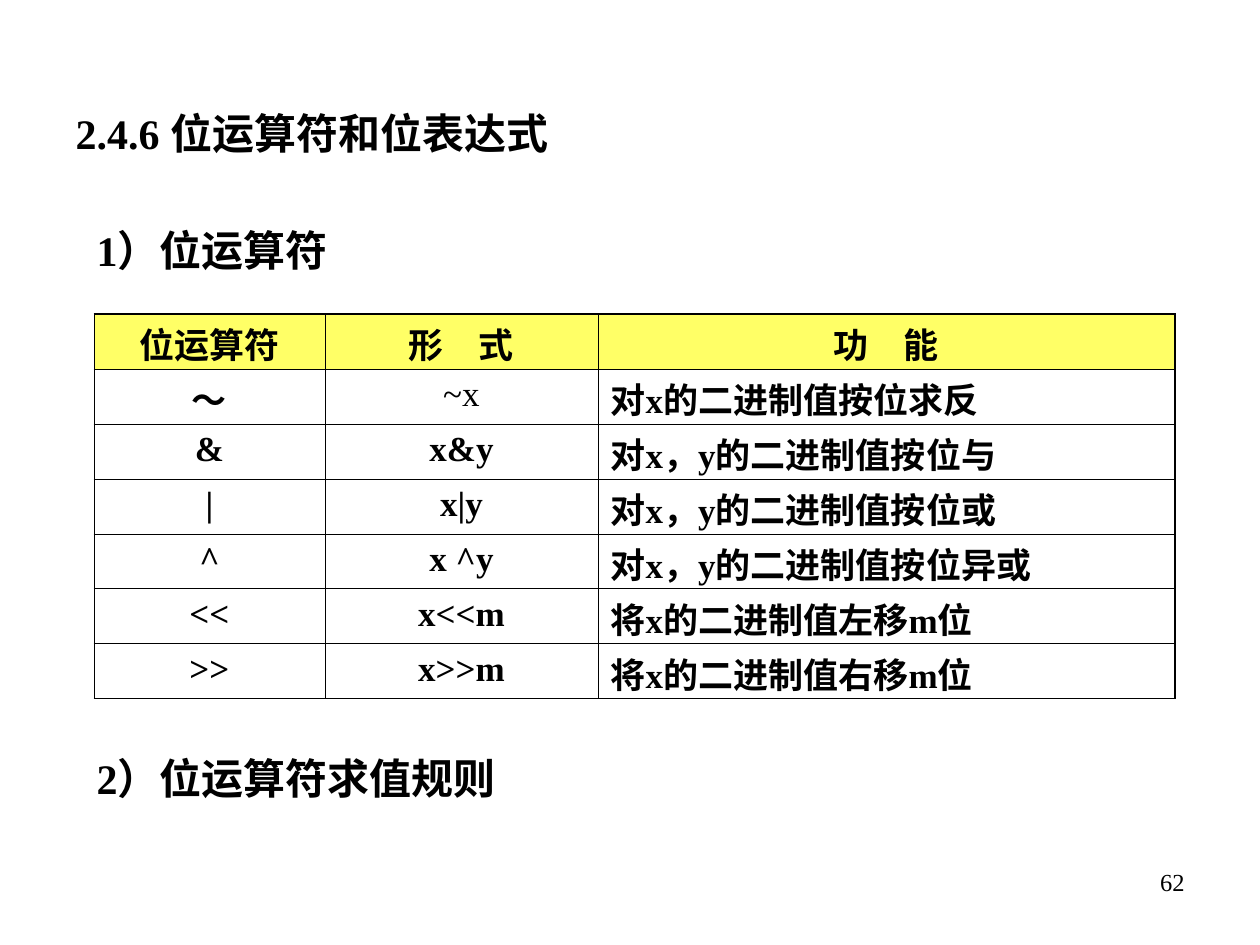
from dataclasses import dataclass

from lxml.etree import SubElement
from pptx import Presentation
from pptx.dml.color import RGBColor
from pptx.enum.text import MSO_ANCHOR, MSO_AUTO_SIZE, PP_ALIGN
from pptx.oxml.ns import qn
from pptx.util import Emu, Pt

EMU_PER_PX = 914400 / 126
BLACK, HEADER_YELLOW = "000000", "FFFF66"
OUTER_PT, INNER_PT = 1.08, 0.45
COLUMN_WIDTHS = (231, 273, 577)
ROW_HEIGHT = 55
LATIN_TOP_MARGIN, CHINESE_TOP_MARGIN = 6, 4
OPERATORS = (
    ("位运算符", "形　式", "功　能"),
    ("～", "~x", "对x的二进制值按位求反"),
    ("&", "x&y", "对x，y的二进制值按位与"),
    ("|", "x|y", "对x，y的二进制值按位或"),
    ("^", "x ^y", "对x，y的二进制值按位异或"),
    ("<<", "x<<m", "将x的二进制值左移m位"),
    (">>", "x>>m", "将x的二进制值右移m位"),
)


@dataclass(frozen=True)
class Heading:
    text: str
    top: int
    width: int
    height: int
    indent: int


HEADINGS = (
    Heading("2.4.6 位运算符和位表达式", 76, 1124, 114, 21),
    Heading("1）位运算符", 206, 1124, 88, 42),
    Heading("2）位运算符求值规则", 734, 536, 88, 42),
)


def px(length: int) -> Emu:
    return Emu(round(length * EMU_PER_PX))


def color(hex_value: str) -> RGBColor:
    return RGBColor.from_string(hex_value)


def place(shape, left: int, top: int, width: int, height: int) -> None:
    box = {"left": left, "top": top, "width": width, "height": height}
    for side, length in box.items():
        setattr(shape, side, px(length))


def write(frame, text: str, size: int, bold: bool, align: PP_ALIGN) -> None:
    paragraph = frame.paragraphs[0]
    paragraph.alignment = align
    run = paragraph.add_run()
    run.text = text
    font_format = {"name": "Times New Roman", "size": Pt(size), "bold": bold}
    for attribute, value in font_format.items():
        setattr(run.font, attribute, value)
    run.font.color.rgb = color(BLACK)


def draw_heading(placeholder, heading: Heading) -> None:
    place(placeholder, 42, heading.top, heading.width, heading.height)
    frame = placeholder.text_frame
    frame_format = {
        "word_wrap": True,
        "auto_size": MSO_AUTO_SIZE.NONE,
        "vertical_anchor": MSO_ANCHOR.MIDDLE,
    }
    for attribute, value in frame_format.items():
        setattr(frame, attribute, value)
    paragraph = frame.paragraphs[0]
    paragraph.space_before = Pt(0)
    properties = paragraph._p.get_or_add_pPr()
    properties.set("marL", str(px(heading.indent)))
    properties.set("indent", "0")
    SubElement(properties, qn("a:buNone"))
    write(frame, heading.text, 24, True, PP_ALIGN.LEFT)


def draw_borders(cell, outer_sides: dict[str, bool]) -> None:
    """Give each side the outer or the inner line width."""
    properties = cell._tc.get_or_add_tcPr()
    for index, (side, is_outer) in enumerate(outer_sides.items()):
        width = Pt(OUTER_PT if is_outer else INNER_PT)
        line = properties.makeelement(qn(f"a:ln{side}"), {"w": str(width)})
        properties.insert(index, line)
        fill = SubElement(line, qn("a:solidFill"))
        SubElement(fill, qn("a:srgbClr"), val=BLACK)


def draw_operator_table(slide) -> None:
    last_column = len(COLUMN_WIDTHS) - 1
    table = slide.shapes.add_table(
        len(OPERATORS), len(COLUMN_WIDTHS), px(94), px(314),
        px(sum(COLUMN_WIDTHS)), px(ROW_HEIGHT * len(OPERATORS)),
    ).table
    table.first_row = table.horz_banding = False
    for column, width in zip(table.columns, COLUMN_WIDTHS):
        column.width = px(width)
    for r, texts in enumerate(OPERATORS):
        table.rows[r].height = px(ROW_HEIGHT)
        for c, text in enumerate(texts):
            cell = table.cell(r, c)
            if r == 0:
                cell.fill.solid()
                cell.fill.fore_color.rgb = color(HEADER_YELLOW)
            else:
                cell.fill.background()
            cell.margin_top = px(
                LATIN_TOP_MARGIN if text.isascii() else CHINESE_TOP_MARGIN
            )
            cell.margin_bottom = px(0)
            is_description = r > 0 and c == last_column
            align = PP_ALIGN.LEFT if is_description else PP_ALIGN.CENTER
            write(cell.text_frame, text, 20, text != "~x", align)
            draw_borders(cell, {
                "L": False, "R": c == last_column, "T": r == 0, "B": False,
            })


def draw_page_number(slide) -> None:
    page_number = slide.shapes.add_textbox(px(903), px(861), px(294), px(65))
    page_number.text_frame.word_wrap = True
    write(page_number.text_frame, "62", 14, False, PP_ALIGN.RIGHT)


def main() -> None:
    deck = Presentation()
    deck.slide_width, deck.slide_height = px(1260), px(945)
    two_content_layout = deck.slide_layouts[3]
    slide = deck.slides.add_slide(two_content_layout)
    for index, heading in enumerate(HEADINGS):
        draw_heading(slide.placeholders[index], heading)
    for unused in list(slide.placeholders)[len(HEADINGS):]:
        unused.element.getparent().remove(unused.element)
    draw_operator_table(slide)
    draw_page_number(slide)
    deck.save("out.pptx")


if __name__ == "__main__":
    main()
